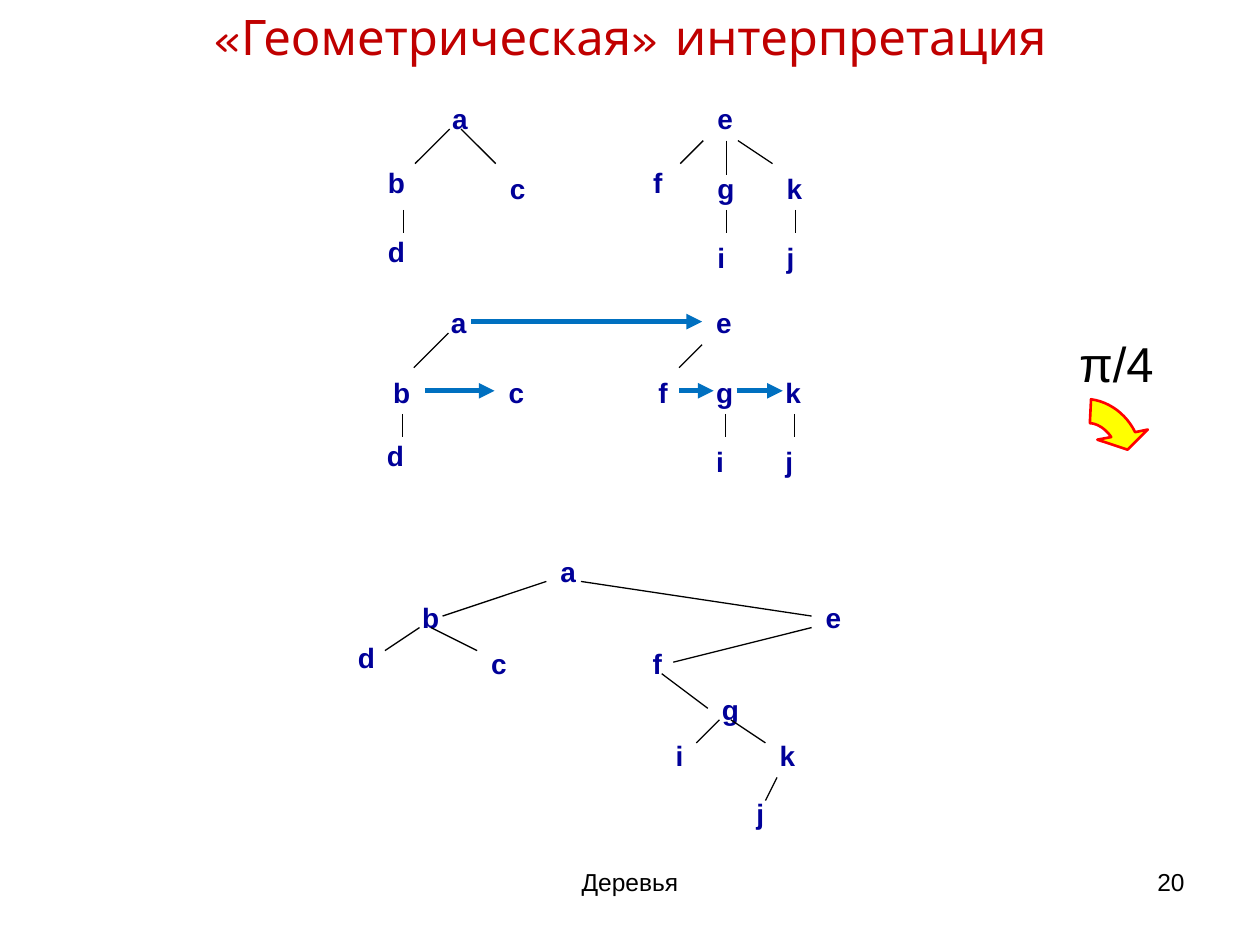
from dataclasses import dataclass

from lxml.etree import SubElement
from pptx import Presentation
from pptx.dml.color import RGBColor as RGB
from pptx.enum.shapes import MSO_CONNECTOR as CONN, MSO_SHAPE as SHAPE
from pptx.enum.text import MSO_ANCHOR as ANCHOR, PP_ALIGN as ALIGN
from pptx.oxml.ns import qn
from pptx.util import Pt


@dataclass(frozen=True)
class Theme:
    font: str = "Arial"
    title_font: str = "Comic Neue"
    title: RGB = RGB(0xC0, 0x00, 0x00)
    node: RGB = RGB(0x00, 0x00, 0x99)
    ink: RGB = RGB(0x00, 0x00, 0x00)
    paper: RGB = RGB(0xFF, 0xFF, 0xFF)
    link: RGB = RGB(0x00, 0x70, 0xC0)
    turn_fill: RGB = RGB(0xFF, 0xFF, 0x00)
    turn_line: RGB = RGB(0xFF, 0x00, 0x00)
    big: int = 28
    node_size: int = 16
    small: int = 14
    thin: float = 0.75
    medium: float = 1.5
    thick: float = 3


UNIT = 6.59
NODE_WIDTH = 19.6
LOOSE = (27, 8, 4.2)
TIGHT = (20.9, 4.3, 0.9)

FOREST_NODES = {
    "a": (5, 0), "b": (0, 6), "e": (28, 0), "c": (10, 6), "d": (0, 12),
    "k": (34, 6), "i": (28, 12), "f": (23, 6), "g": (28, 6), "j": (34, 12),
}
FIRST_CHILD_EDGES = [
    (6, 3, 3, 6), (2, 10, 2, 12), (28, 4, 26, 6),
    (30, 10, 30, 12), (36, 10, 36, 12),
]
OTHER_CHILD_EDGES = [(7, 3, 10, 6), (30, 4, 30, 7), (31, 4, 34, 6)]
SIBLING_ARROWS = [(8, 2, 28, 2), (4, 8, 10, 8), (26, 8, 29, 8), (31, 8, 35, 8)]
BINARY_NODES = {
    "a": (17, 0), "b": (5, 4), "e": (40, 4), "c": (11, 8), "d": (0, 8),
    "k": (36, 16), "i": (27, 16), "f": (25, 8), "g": (31, 12), "j": (34, 21),
}
BINARY_EDGES = [
    (8, 6, 17, 3), (20, 3, 40, 6), (6, 7, 3, 9), (7, 7, 11, 9),
    (40, 7, 28, 10), (27, 11, 31, 14), (33, 15, 36, 17),
    (37, 20, 36, 22), (32, 15, 30, 17),
]

OUTER_ARC = [(623.5, 228.2), (634.3, 229.7), (643.7, 236.9), (648.7, 247)]
ARROW_HEAD = [(655.9, 245.5), (644.4, 257), (627.1, 251.3)]
INNER_ARC = [(635, 249.8), (632.2, 245.5), (627.1, 241.9), (622.8, 241.9)]


def curve(points, steps=12):
    for n in range(steps + 1):
        t = n / steps
        weights = ((1 - t) ** 3, 3 * t * (1 - t) ** 2, 3 * t * t * (1 - t), t ** 3)
        yield tuple(sum(w * v for w, v in zip(weights, axis)) for axis in zip(*points))


class Deck:
    def __init__(self, theme):
        self.theme = theme
        self.prs = Presentation()
        self.prs.slide_width, self.prs.slide_height = Pt(720), Pt(540)
        self.s = None

    def add_slide(self):
        self.s = self.prs.slides.add_slide(self.prs.slide_layouts[5])

    def set_text(self, tf, text, size, color, align=ALIGN.LEFT, font=None, bold=False):
        p = tf.paragraphs[0]
        p.text = text
        p.alignment = align
        p.font.name = font or self.theme.font
        p.font.size = Pt(size)
        p.font.bold = bold
        p.font.color.rgb = color

    def title(self, text, x, y, w, h):
        sp = self.s.shapes.title
        sp.left, sp.top, sp.width, sp.height = Pt(x), Pt(y), Pt(w), Pt(h)
        sp.text_frame.vertical_anchor = ANCHOR.MIDDLE
        th = self.theme
        self.set_text(sp.text_frame, text, th.big, th.title, ALIGN.CENTER, th.title_font)

    def label(self, text, x, y, w, h, size, align):
        sp = self.s.shapes.add_textbox(Pt(x), Pt(y), Pt(w), Pt(h))
        sp.text_frame.word_wrap = True
        self.set_text(sp.text_frame, text, size, self.theme.ink, align)

    def node(self, grp, text, x, y, box):
        h, side, top = box
        sp = grp.shapes.add_shape(SHAPE.RECTANGLE, Pt(x), Pt(y), Pt(NODE_WIDTH), Pt(h))
        sp.shadow.inherit = False
        sp.fill.solid()
        sp.fill.fore_color.rgb = self.theme.paper
        sp.line.fill.background()
        tf = sp.text_frame
        tf.word_wrap = True
        tf.vertical_anchor = ANCHOR.TOP
        tf.margin_left = tf.margin_right = Pt(side)
        tf.margin_top = tf.margin_bottom = Pt(top)
        self.set_text(tf, text, self.theme.node_size, self.theme.node, bold=True)

    def line(self, grp, x1, y1, x2, y2, arrow=False):
        th = self.theme
        c = grp.shapes.add_connector(CONN.STRAIGHT, Pt(x1), Pt(y1), Pt(x2), Pt(y2))
        c.line.color.rgb = th.link if arrow else th.ink
        c.line.width = Pt(th.thick if arrow else th.thin)
        props = c._element.spPr
        if arrow:
            SubElement(props.find(qn("a:ln")), qn("a:tailEnd"), type="triangle")
        SubElement(props, qn("a:effectLst"))

    def tree(self, x, y, nodes, edges, arrows=(), tight=""):
        grp = self.s.shapes.add_group_shape()
        for text, (col, row) in nodes.items():
            box = TIGHT if text in tight else LOOSE
            self.node(grp, text, x + col * UNIT, y + row * UNIT, box)
        for group, arrow in ((edges, False), (arrows, True)):
            for x1, y1, x2, y2 in group:
                self.line(grp, x + x1 * UNIT, y + y1 * UNIT,
                          x + x2 * UNIT, y + y2 * UNIT, arrow)

    def outline(self, points):
        start, *rest = [(Pt(x), Pt(y)) for x, y in points]
        builder = self.s.shapes.build_freeform(*start)
        builder.add_line_segments(rest, close=True)
        sp = builder.convert_to_shape()
        sp.shadow.inherit = False
        sp.fill.solid()
        sp.fill.fore_color.rgb = self.theme.turn_fill
        sp.line.color.rgb = self.theme.turn_line
        sp.line.width = Pt(self.theme.medium)


def main():
    theme = Theme()
    deck = Deck(theme)
    deck.add_slide()
    deck.label("Деревья", 246, 492, 228, 37.5, theme.small, ALIGN.CENTER)
    deck.label("20", 516, 492, 168, 37.5, theme.small, ALIGN.RIGHT)
    deck.title("«Геометрическая» интерпретация", 36, 0, 648, 40.5)
    deck.tree(217.4, 54, FOREST_NODES, FIRST_CHILD_EDGES + OTHER_CHILD_EDGES, tight="bdf")
    deck.tree(216.7, 170.6, FOREST_NODES, FIRST_CHILD_EDGES, SIBLING_ARROWS, tight="d")
    deck.tree(200.2, 312.5, BINARY_NODES, BINARY_EDGES, tight="d")
    deck.outline([*curve(OUTER_ARC), *ARROW_HEAD, *curve(INNER_ARC)])
    deck.label("π/4", 606.2, 187.2, 63.4, 41, theme.big, ALIGN.CENTER)
    deck.prs.save("out.pptx")


if __name__ == "__main__":
    main()
